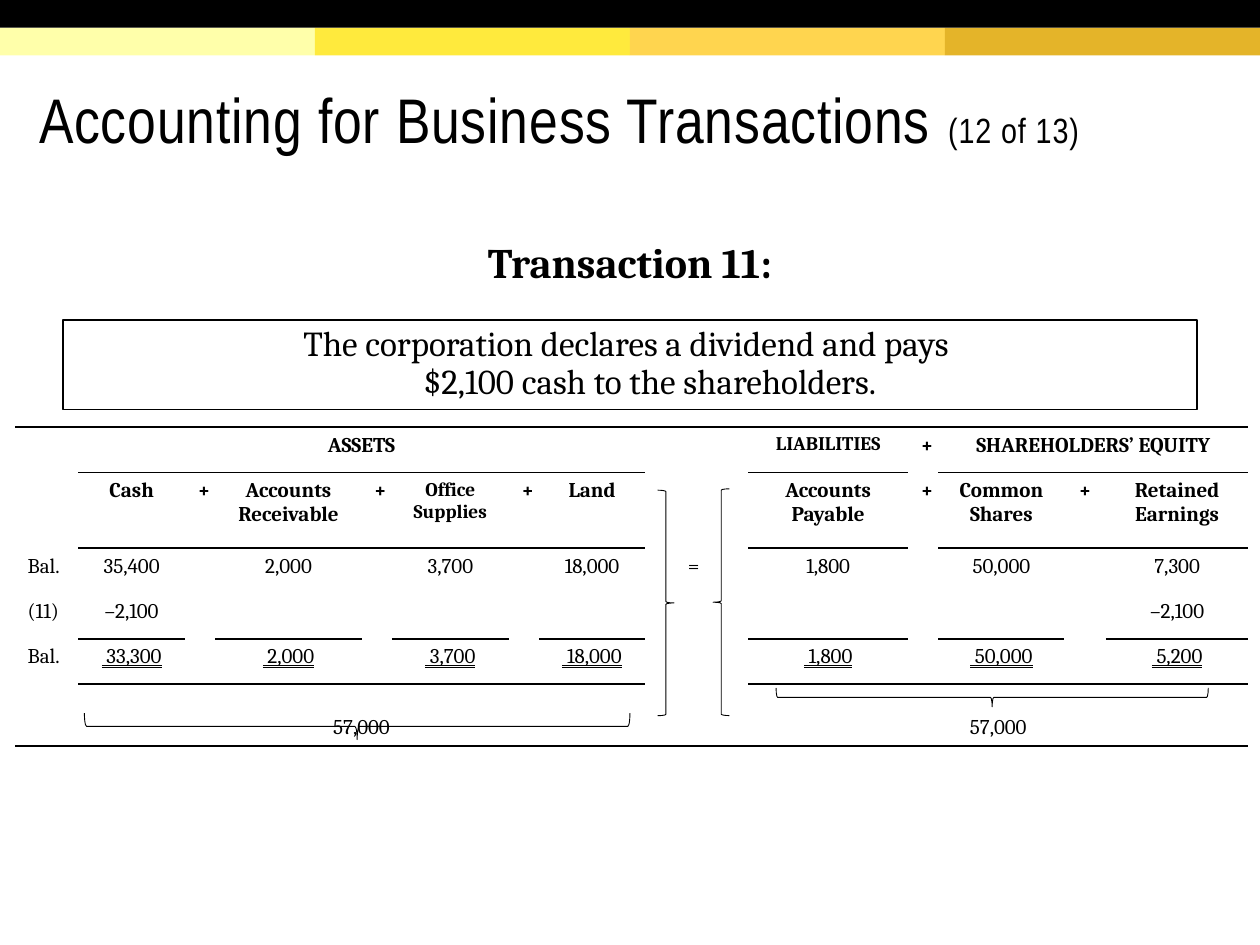
from dataclasses import dataclass

from lxml.etree import SubElement
from pptx import Presentation
from pptx.dml.color import RGBColor
from pptx.enum.shapes import MSO_SHAPE as Shape
from pptx.enum.text import MSO_ANCHOR as Anchor, MSO_UNDERLINE as Underline, PP_ALIGN as Align
from pptx.oxml.ns import qn
from pptx.util import Inches, Pt


@dataclass(frozen=True)
class Theme:
    black: str = "000000"
    bars: tuple = ("FFFFAA", "FFEA3D", "FFD54F", "E4B429")
    title_font: str = "Arial Narrow"
    body_font: str = "Cambria"
    title: int = 36
    counter: int = 20
    heading: int = 24
    statement: int = 20
    table: int = 12
    tight: int = 11


theme = Theme()
black = RGBColor.from_string(theme.black)


def add_run(paragraph, text, size, bold=False, name=theme.body_font):
    run = paragraph.add_run()
    run.text = text
    run.font.size, run.font.bold, run.font.name = Pt(size), bold, name
    run.font.color.rgb = black
    return run


def add_shape(kind, left, top, width, height, fill=None, line=None):
    shape = slide.shapes.add_shape(kind, Inches(left), Inches(top), Inches(width), Inches(height))
    shape.shadow.inherit = False
    if fill:
        shape.fill.solid()
        shape.fill.fore_color.rgb = RGBColor.from_string(fill)
    else:
        shape.fill.background()
    if line:
        shape.line.color.rgb = black
        shape.line.width = Pt(line)
    else:
        shape.line.fill.background()
    return shape


presentation = Presentation()
presentation.slide_width, presentation.slide_height = Inches(10), Inches(7.5)
slide = presentation.slides.add_slide(presentation.slide_layouts[5])

# Top bars
for index, color in enumerate(theme.bars):
    add_shape(Shape.RECTANGLE, 2.5 * index, 0.22, 2.5, 0.22, fill=color)
add_shape(Shape.RECTANGLE, 0, 0, 10, 0.22, fill=theme.black)

# Title
title = slide.shapes.title
title.left, title.top = Inches(0.21), Inches(0.47)
title.width, title.height = Inches(9.49), Inches(0.98)
frame = title.text_frame
frame.vertical_anchor = Anchor.MIDDLE
frame.margin_left = frame.margin_right = frame.margin_top = Inches(0.1)
frame.margin_bottom = Inches(0.05)
paragraph = frame.paragraphs[0]
paragraph.alignment = Align.LEFT
paragraph.line_spacing = 0.85
for text, size in (("Accounting for Business Transactions ", theme.title),
                   ("(12 of 13)", theme.counter)):
    run = add_run(paragraph, text, size, name=theme.title_font)
    run.font._element.set("spc", "50")

# Transaction heading and statement
heading = add_shape(Shape.RECTANGLE, 0.5, 1.83, 9, 0.58)
statement = add_shape(Shape.RECTANGLE, 0.5, 2.54, 9, 0.71, line=1)
for shape, lines, size, bold, spacing in (
    (heading, ["Transaction 11:"], theme.heading, True, 1.0),
    (statement, ["The corporation declares a dividend and pays ",
                 "$2,100 cash to the shareholders."], theme.statement, False, 0.9),
):
    shape.text_frame.word_wrap = True
    shape.text_frame.vertical_anchor = Anchor.TOP
    paragraph = shape.text_frame.paragraphs[0]
    paragraph.alignment = Align.CENTER
    paragraph.line_spacing = spacing
    properties = paragraph._p.get_or_add_pPr()
    properties.set("marL", str(Inches(0.32)))
    properties.set("indent", str(-Inches(0.32)))
    for index, text in enumerate(lines):
        if index:
            paragraph.add_line_break()
        add_run(paragraph, text, size, bold)

# Accounting equation table
columns = [0.5, 0.85, 0.24, 1.16, 0.24, 0.93, 0.24, 0.84, 0.24, 0.34, 0.24, 1.27, 0.24, 1, 0.33, 1.13]
rows = [0.36, 0.6, 0.36, 0.36, 0.36, 0.49]
accounts = [1, 3, 5, 7, 11, 13, 15]
header, total = 0, len(rows) - 1
balances = 4
contents = [
    {1: "ASSETS", 11: "LIABILITIES", 12: "+", 13: "SHAREHOLDERS’ EQUITY"},
    dict(zip(accounts, ["Cash", "Accounts Receivable", "Office Supplies", "Land",
                        "Accounts Payable", "Common Shares", "Retained\nEarnings"]))
    | {column: "+" for column in (2, 4, 6, 12, 14)},
    dict(zip(accounts, ["35,400", "2,000", "3,700", "18,000", "1,800", "50,000", "7,300"]))
    | {0: "Bal.", 9: "="},
    {0: "(11)", 1: "–2,100", 15: "–2,100"},
    dict(zip(accounts, [" 33,300", " 2,000", " 3,700", " 18,000", " 1,800", " 50,000", " 5,200"]))
    | {0: "Bal."},
    {1: "57,000", 11: "57,000"},
]
graphic = slide.shapes.add_table(len(rows), len(columns), Inches(0.12), Inches(3.39),
                                 Inches(sum(columns)), Inches(sum(rows)))
table = graphic.table
table.first_row = table.horz_banding = False
table._tbl.tblPr.find(qn("a:tableStyleId")).text = "{2D5ABB26-0587-4C30-8999-92F81FD0307C}"
for column, width in zip(table.columns, columns):
    column.width = Inches(width)
for row, height in zip(table.rows, rows):
    row.height = Inches(height)
for row, first, last in ((header, 1, 7), (header, 13, 15), (total, 1, 7), (total, 11, 15)):
    table.cell(row, first).merge(table.cell(row, last))

# Rules: (row, edge) -> columns
every_column = range(len(columns))
group_columns = [*range(1, 8), 11, 13, 14, 15]
rules = {
    (header, "lnT"): every_column,
    (header, "lnB"): group_columns,
    (header + 1, "lnT"): group_columns,
    (balances - 1, "lnB"): accounts,
    (balances, "lnT"): accounts,
    (total, "lnB"): every_column,
}

for row in range(len(rows)):
    for column in every_column:
        cell = table.cell(row, column)
        text = contents[row].get(column, "")
        paragraph = cell.text_frame.paragraphs[0]
        paragraph.alignment = Align.LEFT if column in (0, 9) else Align.CENTER
        size = theme.tight if text in ("LIABILITIES", "Office Supplies") else theme.table
        for index, part in enumerate(text.split("\n") if text else []):
            if index:
                paragraph.add_line_break()
            run = add_run(paragraph, part, size, bold=row <= 1)
            if row == balances and column in accounts:
                run.font.underline = Underline.DOUBLE_LINE
        SubElement(paragraph._p, qn("a:endParaRPr"), sz=str(size * 100))
        cell.vertical_anchor = Anchor.BOTTOM if row == total else Anchor.TOP
        for edge in ("lnT", "lnB"):
            if column in rules.get((row, edge), ()):
                line = SubElement(cell._tc.get_or_add_tcPr(), qn("a:" + edge), w=str(Pt(1)))
                SubElement(SubElement(line, qn("a:solidFill")), qn("a:srgbClr"), val=theme.black)
        cell.fill.background()

# Braces around the two sides and over their totals
for kind, left, top, width, height, rotation in (
    (Shape.LEFT_BRACE, 2.73, 3.6, 0.21, 4.33, 270),
    (Shape.RIGHT_BRACE, 5.22, 3.89, 0.13, 1.79, 0),
    (Shape.LEFT_BRACE, 5.66, 3.88, 0.13, 1.8, 0),
    (Shape.LEFT_BRACE, 7.8, 3.82, 0.15, 3.43, 270),
):
    brace = add_shape(kind, left, top, width, height, line=0.5)
    brace.rotation = rotation

presentation.save("out.pptx")
